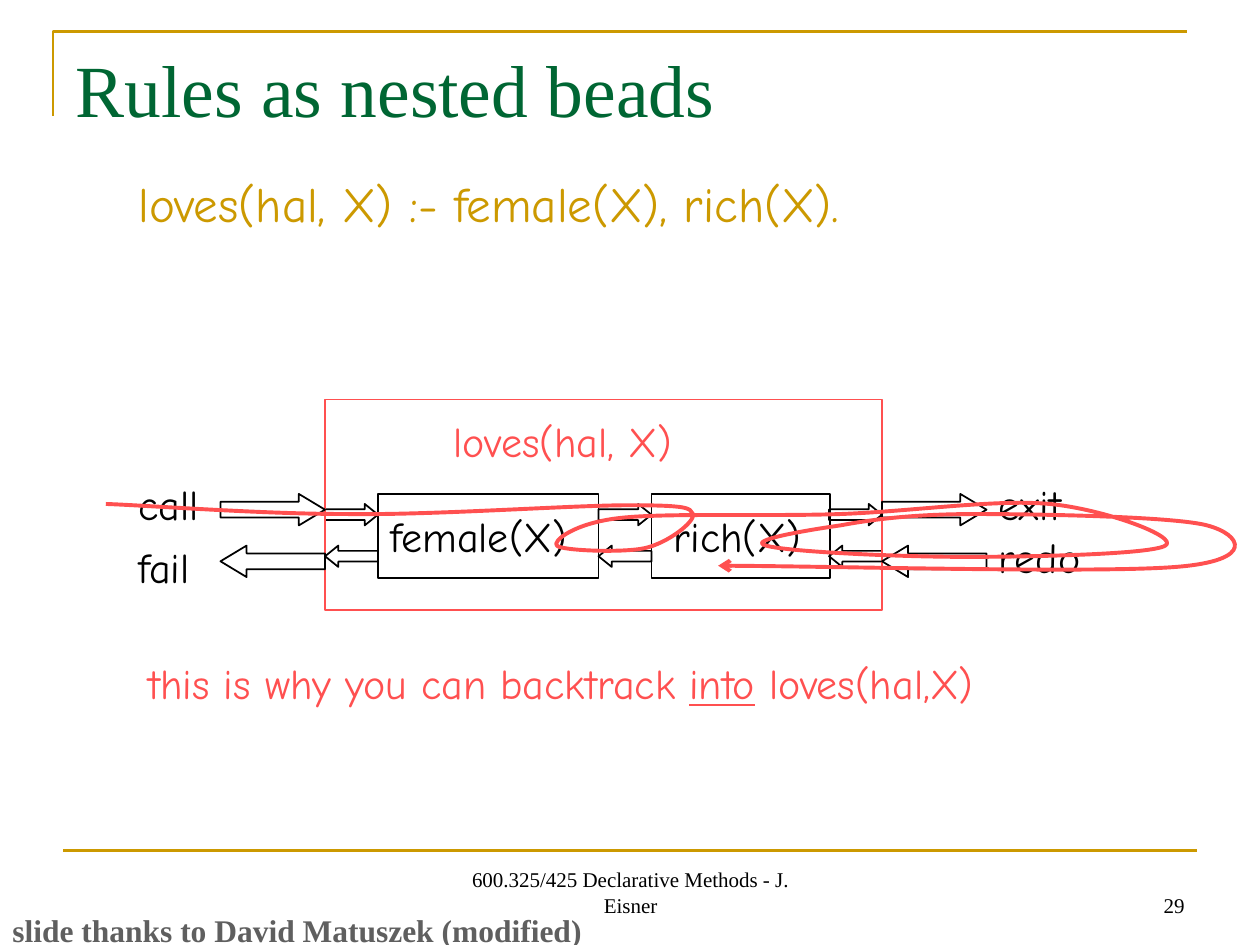
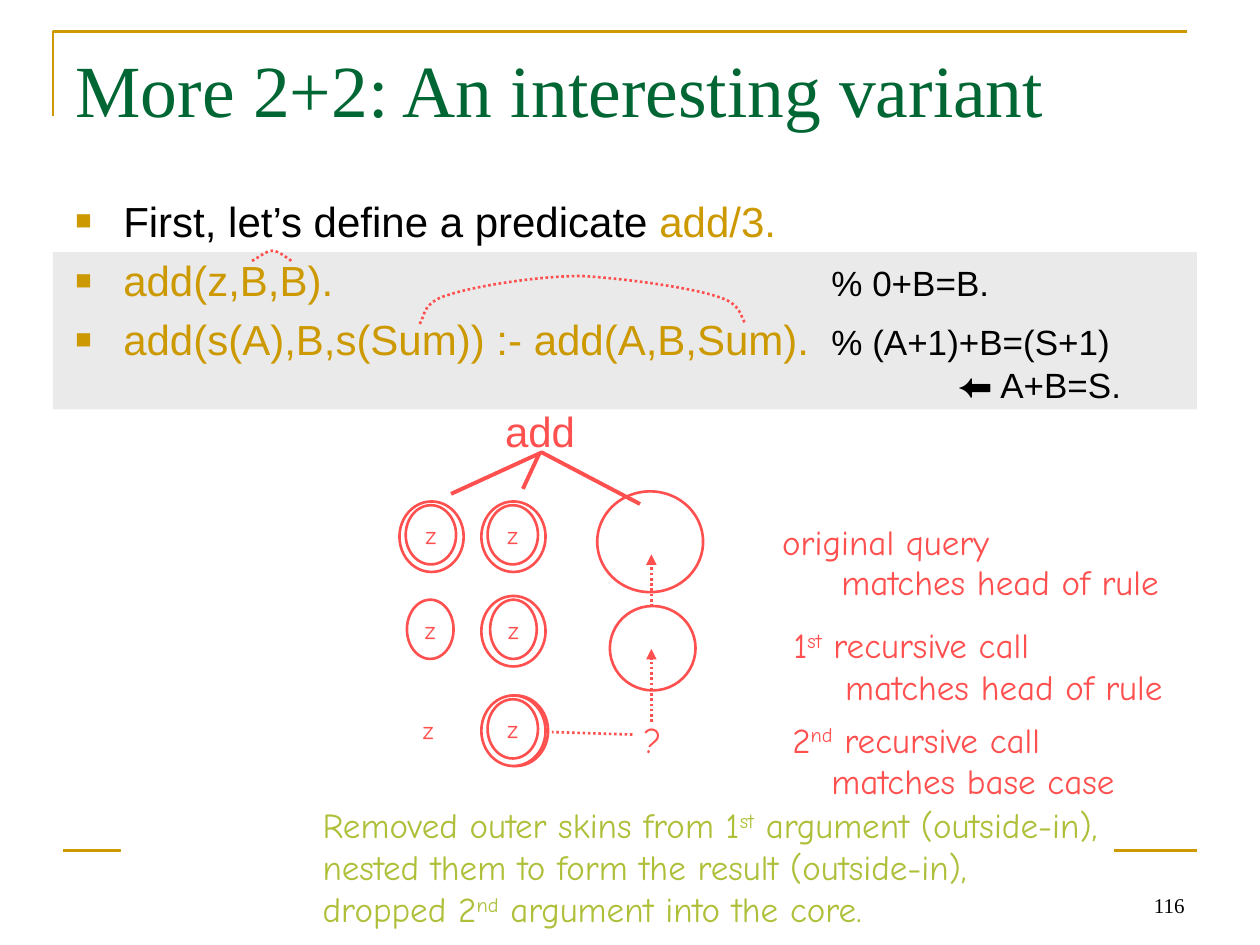
"""Build two lecture slides on Prolog rules and recursive addition."""
from lxml import etree
from pptx import Presentation
from pptx import util as u
from pptx.dml.color import RGBColor
from pptx.enum import dml, shapes, text
from pptx.oxml.ns import qn

COLORS = {"gold": "CC9900", "green": "006633", "red": "FF5050", "black": "000000",
          "gray": "5F5F5F", "band": "EAEAEA", "white": "FFFFFF", "lime": "AFBF39"}
SERIF, SANS, COMIC = "Times New Roman", "Arial", "Comic Neue"
ALIGN = text.PP_ALIGN
ANCHOR = text.MSO_ANCHOR
SHAPE = shapes.MSO_SHAPE


def rgb(name):
    return RGBColor.from_string(COLORS[name])


def inches(values):
    return [u.Inches(value) for value in values]


def add_child(parent, tag, **attributes):
    return etree.SubElement(parent, qn(tag), **attributes)


def style_span(span, size, font, color, bold=False, underline=False, raised=False):
    span.font.size = u.Pt(size)
    span.font.name = font
    span.font.color.rgb = rgb(color)
    if bold:
        span.font.bold = True
    if underline:
        span.font.underline = True
    if raised:
        span._r.get_or_add_rPr().set("baseline", "30000")


def write(box, *paragraphs, size=24, font=COMIC, color="black", bold=False,
          align=ALIGN.LEFT, anchor=ANCHOR.TOP, wrap=True, left=0.1,
          gap=0, bullet=None, tabs=()):
    """Fill a box; each paragraph is a string or a list of strings and (string, format) pairs."""
    frame = box.text_frame
    frame.auto_size = text.MSO_AUTO_SIZE.NONE
    frame.word_wrap = wrap
    frame.vertical_anchor = anchor
    frame.margin_left, frame.margin_right = inches((left, 0.1))
    frame.margin_top = frame.margin_bottom = u.Inches(0.05)
    for index, spans in enumerate(paragraphs):
        para = frame.add_paragraph() if index else frame.paragraphs[0]
        para.alignment = align
        if index:
            para.space_before = u.Pt(gap)
        if bullet:
            add_bullet(para, bullet)
        if tabs:
            stops = add_child(para._p.get_or_add_pPr(), "a:tabLst")
            for stop in tabs:
                add_child(stops, "a:tab", pos=str(u.Inches(stop)), algn="l")
        for part in [spans] if isinstance(spans, str) else spans:
            words, changes = (part, {}) if isinstance(part, str) else part
            look = {"size": size, "font": font, "color": color, "bold": bold, **changes}
            for number, line in enumerate(words.split("\n")):
                if number:
                    para.add_line_break()
                span = para.add_run()
                span.text = line
                style_span(span, **look)


def add_bullet(para, color):
    props = para._p.get_or_add_pPr()
    props.set("marL", str(u.Inches(0.38)))
    props.set("indent", str(-u.Inches(0.38)))
    add_child(add_child(props, "a:buClr"), "a:srgbClr", val=COLORS[color])
    add_child(props, "a:buSzPct", val="65000")
    add_child(props, "a:buFont", typeface=SANS)
    add_child(props, "a:buChar", char="■")


def add_label(slide, place, *paragraphs, **look):
    box = slide.shapes.add_textbox(*inches(place))
    write(box, *paragraphs, **look)


def style_line(line, color, width, dotted=False, arrow=None):
    line.color.rgb = rgb(color)
    line.width = u.Pt(width)
    if dotted:
        line.dash_style = dml.MSO_LINE.ROUND_DOT
    if arrow:
        add_child(line._get_or_add_ln(), "a:tailEnd", type=arrow)


def add_figure(slide, kind, place, line=None, fill=None, width=1.0, adjust=()):
    figure = slide.shapes.add_shape(kind, *inches(place))
    figure.shadow.inherit = False
    for index, value in enumerate(adjust):
        figure.adjustments[index] = value
    if fill:
        figure.fill.solid()
        figure.fill.fore_color.rgb = rgb(fill)
    else:
        figure.fill.background()
    if line:
        style_line(figure.line, line, width)
    else:
        figure.line.fill.background()
    return figure


def add_line(slide, start, end, color, width, **look):
    line = slide.shapes.add_connector(shapes.MSO_CONNECTOR.STRAIGHT, *inches(start + end))
    style_line(line.line, color, width, **look)
    add_child(line._element.spPr, "a:effectLst")


def add_outline(slide, points, color, width, **look):
    start, *rest = [inches(point) for point in points]
    builder = slide.shapes.build_freeform(*start)
    builder.add_line_segments(rest, close=False)
    outline = builder.convert_to_shape()
    outline.shadow.inherit = False
    outline.fill.background()
    style_line(outline.line, color, width, **look)
    return outline


def add_curve(slide, points, color, width, **look):
    """Draw cubic Bézier segments: a start point, then two controls and an end each."""
    outline = add_outline(slide, points, color, width, **look)
    legs = list(outline._element.spPr.iter(qn("a:lnTo")))
    for first in range(0, len(legs), 3):
        trio = legs[first:first + 3]
        bend = etree.Element(qn("a:cubicBezTo"))
        trio[0].addprevious(bend)
        for leg in trio:
            bend.append(leg[0])
            leg.getparent().remove(leg)


def start_slide(deck, title, number, footer=None):
    slide = deck.slides.add_slide(deck.slide_layouts[5])
    add_outline(slide, [(0.42, 0.92), (0.42, 0.25), (9.42, 0.25)], "gold", 1.5)
    add_line(slide, (0.5, 6.75), (9.5, 6.75), "gold", 1.5)
    look = {"size": 12, "font": SERIF, "anchor": ANCHOR.BOTTOM}
    if footer:
        add_label(slide, (3.42, 6.83, 3.17, 0.5), footer, align=ALIGN.CENTER, **look)
    add_label(slide, (7.17, 6.83, 2.33, 0.5), number, align=ALIGN.RIGHT, **look)
    heading = slide.shapes.title
    heading.left, heading.top, heading.width, heading.height = inches((0.5, 0.3, 9, 1.25))
    write(heading, title, size=42, font=SERIF, color="green")
    return slide


def add_arrow_pair(slide, left, tops, width, height, tip):
    for kind, top in zip((SHAPE.RIGHT_ARROW, SHAPE.LEFT_ARROW), tops):
        add_figure(slide, kind, (left, top, width, height), "black", adjust=(0.5, tip))


def build_beads(deck):
    slide = start_slide(deck, "Rules as nested beads", "29",
                        "600.325/425 Declarative Methods - J. Eisner")
    add_label(slide, (1, 1.33, 8.42, 0.57), "loves(hal, X) :- female(X), rich(X).",
              size=28, color="gold")
    add_label(slide, (3.5, 3.25, 2.67, 0.5), "loves(hal, X)", color="red")
    for goal, left, width, inset in (("female(X)", 3, 1.75, 0), ("rich(X)", 5.17, 1.42, 0.08)):
        add_label(slide, (left + inset, 4, width + 0.25, 0.5), goal)
        add_figure(slide, SHAPE.RECTANGLE, (left, 3.92, width, 0.67), "black")
    for left in (2.58, 4.75, 6.58):
        add_arrow_pair(slide, left, (4, 4.33), 0.42, 0.17, 0.62)
    add_figure(slide, SHAPE.RECTANGLE, (2.58, 3.17, 4.42, 1.67), "red")
    for left in (1.75, 7):
        add_arrow_pair(slide, left, (3.92, 4.33), 0.83, 0.25, 0.83)
    for port, left, top, width in (("call", 1, 3.75, 1), ("fail", 1, 4.25, 0.83),
                                   ("exit", 7.83, 3.75, 1.33), ("redo", 7.83, 4.17, 0.92)):
        add_label(slide, (left, top, width, 0.5), port)
    add_label(slide, (0, 7.33, 8.33, 0.25), "slide thanks to David Matuszek (modified)",
              size=18, font=SERIF, color="gray", bold=True, anchor=ANCHOR.BOTTOM)
    add_label(slide, (1.08, 5.17, 7.83, 0.5),
              ["this is why you can backtrack ", ("into", {"underline": True}),
               " loves(hal,X)"], color="red")
    backtrack = [(0.84, 4), (1.15, 4.01), (2.06, 4.08), (2.75, 4.08),
                 (3.44, 4.09), (4.53, 4.01), (4.99, 4.01),
                 (5.45, 4.01), (5.48, 4.03), (5.5, 4.08),
                 (5.52, 4.14), (5.3, 4.31), (5.12, 4.35),
                 (4.94, 4.39), (4.45, 4.37), (4.42, 4.33),
                 (4.38, 4.3), (4.55, 4.15), (4.93, 4.11),
                 (5.3, 4.07), (6.1, 4.1), (6.67, 4.08),
                 (7.23, 4.06), (7.9, 3.96), (8.33, 4),
                 (8.76, 4.04), (9.36, 4.26), (9.25, 4.33),
                 (9.14, 4.4), (8.19, 4.42), (7.67, 4.42),
                 (7.14, 4.42), (6.25, 4.38), (6.08, 4.33),
                 (5.92, 4.29), (6.39, 4.21), (6.67, 4.17),
                 (6.94, 4.12), (7.26, 4.08), (7.75, 4.08),
                 (8.24, 4.08), (9.32, 4.1), (9.58, 4.17),
                 (9.85, 4.24), (9.98, 4.45), (9.33, 4.5),
                 (8.69, 4.55), (6.46, 4.49), (5.7, 4.49)]
    add_curve(slide, backtrack, "red", 2.25, arrow="arrow")


def add_ring(slide, place, fill=None):
    add_figure(slide, SHAPE.OVAL, place, "red", fill, 1.5)


def add_core(slide, left, top, width=0.4, line="red"):
    core = add_figure(slide, SHAPE.OVAL, (left, top, width, 0.47), line, width=1.5)
    write(core, "z", size=14, color="red", align=ALIGN.CENTER,
          anchor=ANCHOR.MIDDLE, wrap=False)


def add_skins(slide):
    add_core(slide, 3.22, 4.01)
    add_ring(slide, (3.17, 3.98, 0.51, 0.56))
    add_core(slide, 3.23, 4.76, 0.37)
    add_core(slide, 3.2, 5.56, line=None)
    add_ring(slide, (3.84, 5.52, 0.51, 0.56))
    for top, left, width, fill in ((3.98, 3.87, 0.4, None), (4.73, 3.89, 0.37, None),
                                   (5.52, 3.87, 0.4, "white")):
        add_ring(slide, (3.82, top, 0.51, 0.56), fill)
        add_core(slide, left, top + 0.03, width)
    dots = {"color": "red", "width": 1.5, "dotted": True}
    add_line(slide, (5.02, 5.83), (4.38, 5.81), **dots)
    add_ring(slide, (4.74, 3.9, 0.84, 0.8), "white")
    add_line(slide, (5.17, 4.9), (5.17, 4.4), arrow="triangle", **dots)
    add_ring(slide, (4.84, 4.81, 0.68, 0.67), "white")
    add_label(slide, (5.01, 5.65, 0.34, 0.44), "?", size=20, color="red",
              align=ALIGN.CENTER, wrap=False)
    add_line(slide, (5.17, 5.73), (5.17, 5.15), arrow="triangle", **dots)


def build_addition(deck):
    slide = start_slide(deck, "More 2+2: An interesting variant", "116")
    add_figure(slide, SHAPE.RECTANGLE, (0.42, 2, 9.08, 1.25), fill="band")
    gold, remark = {"color": "gold"}, {"size": 20}
    add_label(slide, (0.5, 1.5, 9.42, 5.25),
              ["First, let’s define a predicate ", ("add/3.", gold)],
              [("add(z,B,B).\t", gold), ("% 0+B=B.", remark)],
              [("add(s(A),B,s(Sum)) :- add(A,B,Sum).\t", gold),
               ("% (A+1)+B=(S+1)\n\t\t⬅ A+B=S.", remark)],
              font=SANS, gap=5, bullet="gold", tabs=(6, 7))
    add_skins(slide)
    raised = {"raised": True}
    for left, top, width, note in (
            (6.11, 4.08, 1.84, "original query"),
            (6.58, 4.4, 2.73, "matches head of rule"),
            (6.2, 4.9, 2.08, ["1", ("st", raised), " recursive call"]),
            (6.61, 5.23, 2.73, "matches head of rule"),
            (6.19, 5.65, 2.18, ["2", ("nd", raised), " recursive call"]),
            (6.5, 5.98, 2.46, "matches base case")):
        add_label(slide, (left, top, width, 0.44), note, size=20, color="red", wrap=False)
    add_label(slide, (3.91, 3.17, 0.75, 0.5), "add", font=SANS, color="red", wrap=False)
    add_outline(slide, [(3.58, 3.92), (4.3, 3.59), (5.08, 4)], "red", 2.25)
    add_line(slide, (4.28, 3.6), (4.15, 3.88), "red", 2.25)
    sum_link = [(3.33, 2.57), (3.37, 2.53), (3.34, 2.4), (3.56, 2.34),
                (3.77, 2.27), (4.27, 2.19), (4.62, 2.19),
                (4.95, 2.21), (5.47, 2.28), (5.68, 2.35),
                (5.9, 2.41), (5.87, 2.52), (5.92, 2.57)]
    base_link = [(2, 2.07), (2.03, 2.06), (2.11, 1.99), (2.16, 1.99),
                 (2.22, 1.99), (2.29, 2.06), (2.33, 2.08)]
    for link in (sum_link, base_link):
        add_curve(slide, link, "red", 1.5, dotted=True)
    summary = add_figure(slide, SHAPE.RECTANGLE, (0.96, 6.33, 7.88, 1.1), fill="white")
    write(summary, ["Removed outer skins from 1", ("st", raised),
                    " argument (outside-in),\nnested them to form the result (outside-in),"
                    "\ndropped 2", ("nd", raised), " argument into the core."],
          size=20, color="lime", left=1.6, wrap=False)


def main():
    deck = Presentation()
    deck.slide_width, deck.slide_height = inches((10, 7.5))
    build_beads(deck)
    build_addition(deck)
    deck.save("out.pptx")


if __name__ == "__main__":
    main()
